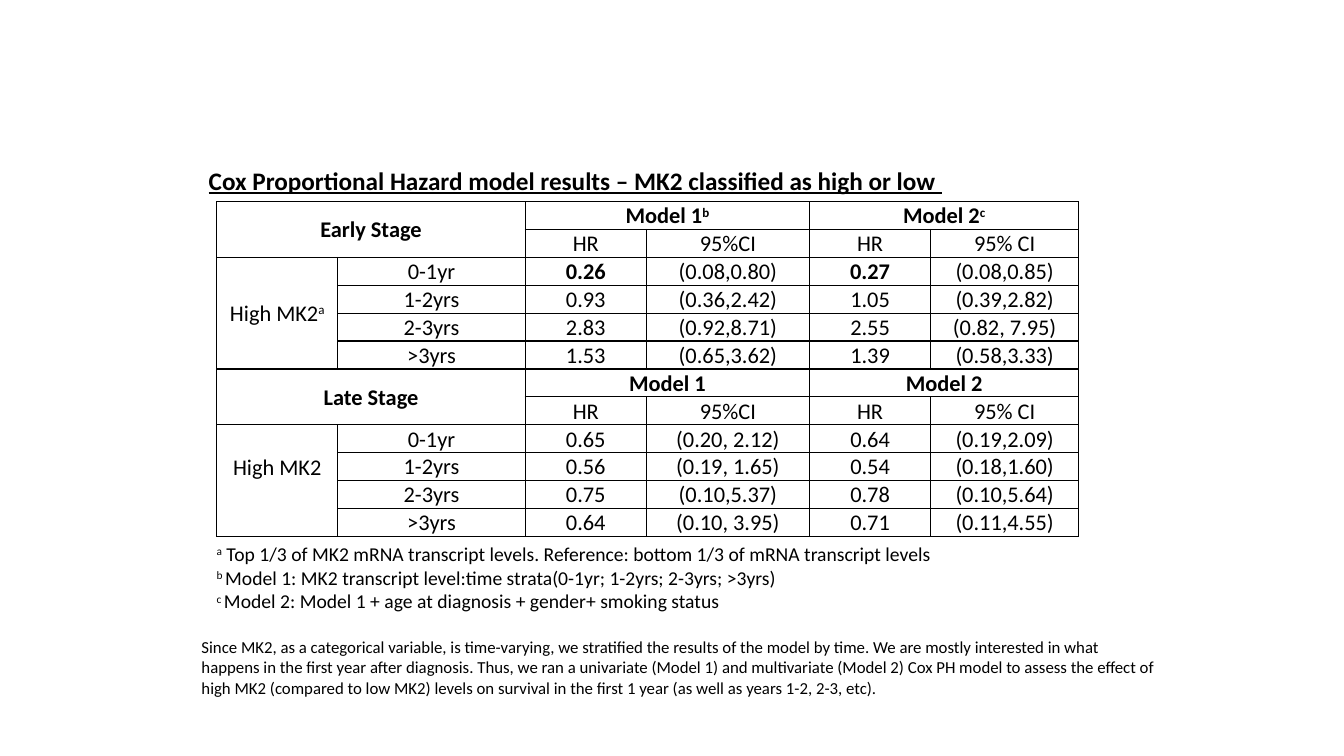
from dataclasses import dataclass

import lxml.etree
import pptx
import pptx.dml.color
import pptx.enum.text
import pptx.oxml.ns
import pptx.util
from pptx.util import Inches

ALIGN = pptx.enum.text.PP_ALIGN
ANCHOR = pptx.enum.text.MSO_ANCHOR
AUTO_SIZE = pptx.enum.text.MSO_AUTO_SIZE


@dataclass(frozen=True)
class Theme:
    font: str = "Calibri"
    ink: str = "000000"
    title: int = 18
    table: int = 16
    footnote: int = 14
    comment: int = 12
    border: int = 1
    superscript: str = "30000"


@dataclass(frozen=True)
class Stage:
    name: str
    group: str
    models: tuple[str, str]
    results: tuple[tuple[str, ...], ...]
    bold_hr_rows: tuple[int, ...] = ()
    group_bottom: float = 0


@dataclass(frozen=True)
class Note:
    left: float
    top: float
    width: float
    height: float
    size: int
    lines: tuple[str, ...]


THEME = Theme()
TITLE = "Cox Proportional Hazard model results – MK2 classified as high or low "
COLUMN_WIDTHS = (1.2, 1.86, 1.2, 1.62, 1.2, 1.47)
ROW_HEIGHT = 0.21
MEASURES = ("HR", "95%CI", "HR", "95% CI")

STAGES = (
    Stage("Early Stage", "High MK2^a^", ("Model 1^b^", "Model 2^c^"), (
        ("0-1yr", "0.26", "(0.08,0.80)", "0.27", "(0.08,0.85)"),
        ("1-2yrs", "0.93", "(0.36,2.42)", "1.05", "(0.39,2.82)"),
        ("2-3yrs", "2.83", "(0.92,8.71)", "2.55", "(0.82, 7.95)"),
        (">3yrs", "1.53", "(0.65,3.62)", "1.39", "(0.58,3.33)"),
    ), bold_hr_rows=(0,)),
    Stage("Late Stage", "High MK2", ("Model 1", "Model 2"), (
        ("0-1yr", "0.65", "(0.20, 2.12)", "0.64", "(0.19,2.09)"),
        ("1-2yrs", "0.56", "(0.19, 1.65)", "0.54", "(0.18,1.60)"),
        ("2-3yrs", "0.75", "(0.10,5.37)", "0.78", "(0.10,5.64)"),
        (">3yrs", "0.64", "(0.10, 3.95)", "0.71", "(0.11,4.55)"),
    ), group_bottom=0.27),
)

NOTES = (
    Note(2.05, 5.33, 10.37, 0.81, THEME.footnote, (
        "^a^ Top 1/3 of MK2 mRNA transcript levels. Reference: bottom 1/3 of mRNA transcript levels",
        "^b ^Model 1: MK2 transcript level:time strata(0-1yr; 1-2yrs; 2-3yrs; >3yrs)",
        "^c ^Model 2: Model 1 + age at diagnosis + gender+ smoking status",
    )),
    Note(1.9, 6.27, 9.7, 0.71, THEME.comment, (
        "Since MK2, as a categorical variable, is time-varying, we stratified the results of the "
        "model by time. We are mostly interested in what happens in the first year after diagnosis. "
        "Thus, we ran a univariate (Model 1) and multivariate (Model 2) Cox PH model to assess the "
        "effect of high MK2 (compared to low MK2) levels on survival in the first 1 year "
        "(as well as years 1-2, 2-3, etc).",
    )),
)


def write(tf, *lines: str, size: int, bold: bool = False, underline: bool = False,
          align=ALIGN.LEFT) -> None:
    """Fill a text frame; text between carets is superscript."""
    for i, line in enumerate(lines):
        p = tf.add_paragraph() if i else tf.paragraphs[0]
        p.alignment = align
        for j, text in enumerate(line.split("^")):
            if not text:
                continue
            r = p.add_run()
            r.text = text
            r.font.name = THEME.font
            r.font.size = pptx.util.Pt(size)
            r.font.bold = bold
            r.font.underline = underline
            r.font.color.rgb = pptx.dml.color.RGBColor.from_string(THEME.ink)
            if j % 2:
                r.font._element.set("baseline", THEME.superscript)


def add_borders(cell) -> None:
    qn = pptx.oxml.ns.qn
    tc_pr = cell._tc.get_or_add_tcPr()
    for side in ("a:lnL", "a:lnR", "a:lnT", "a:lnB"):
        width = str(pptx.util.Pt(THEME.border))
        ln = lxml.etree.SubElement(tc_pr, qn(side), w=width)
        fill = lxml.etree.SubElement(ln, qn("a:solidFill"))
        lxml.etree.SubElement(fill, qn("a:srgbClr"), val=THEME.ink)


def fill_cell(table, row: int, col: int, text: str, bold: bool = False, rows: int = 1,
              cols: int = 1, bottom: float = 0) -> None:
    cell = table.cell(row, col)
    if rows * cols > 1:
        cell.merge(table.cell(row + rows - 1, col + cols - 1))
    cell.vertical_anchor = ANCHOR.MIDDLE if rows > 1 else ANCHOR.BOTTOM
    cell.margin_bottom = Inches(bottom)
    write(cell.text_frame, text, size=THEME.table, bold=bold, align=ALIGN.CENTER)


def fill_stage(table, top: int, stage: Stage) -> None:
    fill_cell(table, top, 0, stage.name, bold=True, rows=2, cols=2)
    for i, model in enumerate(stage.models):
        fill_cell(table, top, 2 + 2 * i, model, bold=True, cols=2)
    for col, measure in enumerate(MEASURES, 2):
        fill_cell(table, top + 1, col, measure)
    fill_cell(table, top + 2, 0, stage.group, rows=len(stage.results), bottom=stage.group_bottom)
    for i, result in enumerate(stage.results):
        for col, value in enumerate(result, 1):
            bold = i in stage.bold_hr_rows and col in (2, 4)
            fill_cell(table, top + 2 + i, col, value, bold=bold)


def add_results_table(s) -> None:
    row_count = sum(2 + len(stage.results) for stage in STAGES)
    frame = s.shapes.add_table(row_count, len(COLUMN_WIDTHS), Inches(2.15), Inches(2),
                               Inches(8.55), Inches(3.33))
    table = frame.table
    table.first_row = table.horz_banding = False
    for column, width in zip(table.columns, COLUMN_WIDTHS):
        column.width = Inches(width)
    for row in table.rows:
        row.height = Inches(ROW_HEIGHT)
    frame.height = Inches(3.33)
    for cell in table.iter_cells():
        cell.margin_left = cell.margin_right = cell.margin_top = Inches(0.01)
        cell.margin_bottom = 0
        add_borders(cell)
        cell.fill.background()
    top = 0
    for stage in STAGES:
        fill_stage(table, top, stage)
        top += 2 + len(stage.results)


def add_note(s, note: Note) -> None:
    sp = s.shapes.add_textbox(Inches(note.left), Inches(note.top),
                              Inches(note.width), Inches(note.height))
    tf = sp.text_frame
    tf.word_wrap = True
    tf.auto_size = AUTO_SIZE.SHAPE_TO_FIT_TEXT
    write(tf, *note.lines, size=note.size)


def add_title(s) -> None:
    sp = s.shapes.title
    sp.left, sp.top, sp.width, sp.height = (Inches(v) for v in (1.97, 1.59, 7.53, 0.4))
    tf = sp.text_frame
    tf.word_wrap = False
    tf.auto_size = AUTO_SIZE.SHAPE_TO_FIT_TEXT
    tf.vertical_anchor = ANCHOR.TOP
    write(tf, TITLE, size=THEME.title, bold=True, underline=True)


def main() -> None:
    prs = pptx.Presentation()
    prs.slide_width, prs.slide_height = Inches(13.33), Inches(7.5)
    s = prs.slides.add_slide(prs.slide_layouts[5])
    add_title(s)
    add_results_table(s)
    for note in NOTES:
        add_note(s, note)
    prs.save("out.pptx")


if __name__ == "__main__":
    main()
